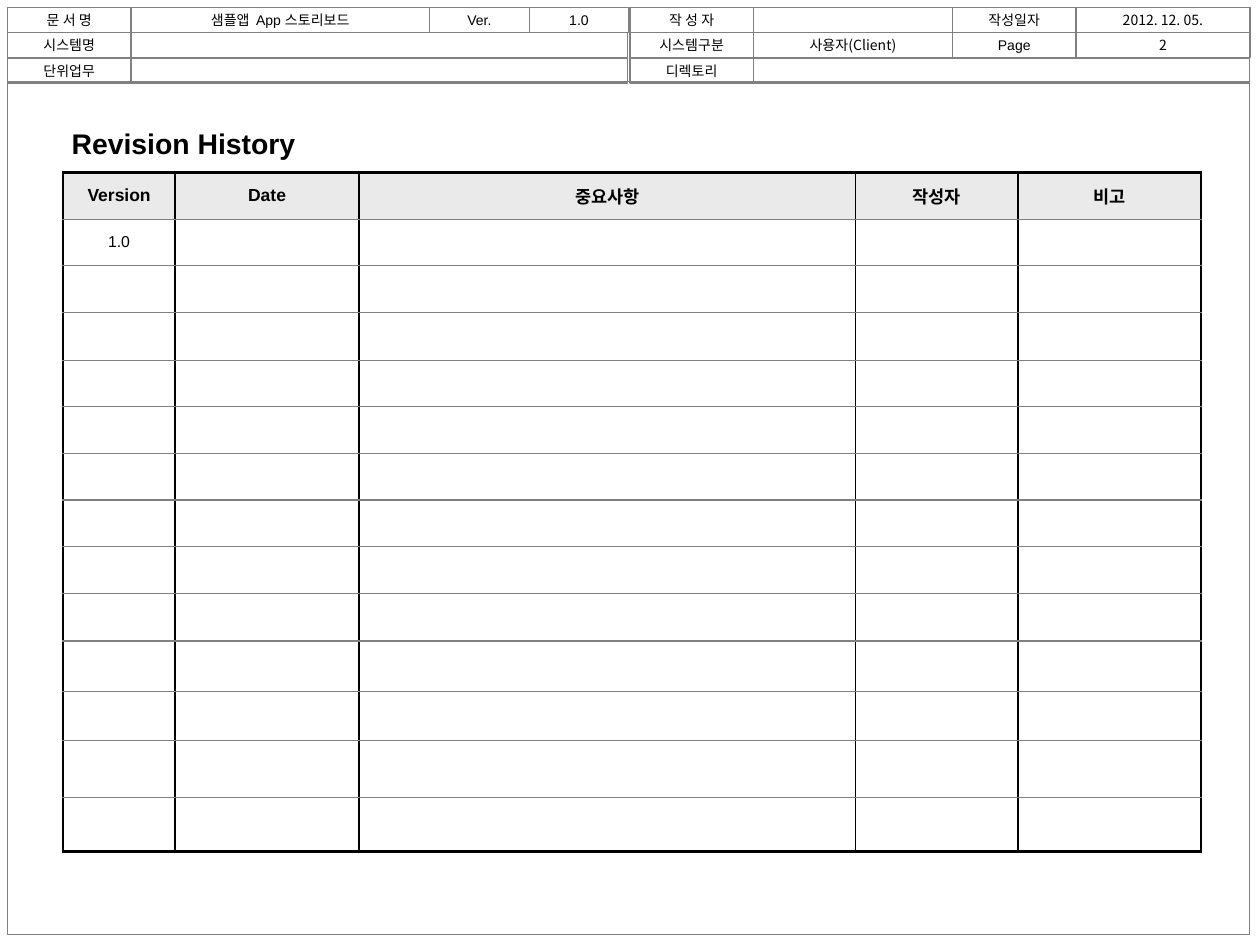
from lxml.etree import SubElement
from pptx import Presentation
from pptx.dml.color import RGBColor
from pptx.enum.shapes import MSO_SHAPE as Shape
from pptx.enum.text import MSO_ANCHOR as Anchor, PP_ALIGN as Align
from pptx.oxml.ns import qn
from pptx.util import Inches, Pt

BLACK = RGBColor(0x00, 0x00, 0x00)
GRAY = RGBColor(0x80, 0x80, 0x80)
HEADER_FILL = RGBColor(0xEA, 0xEA, 0xEA)
LATIN, KOREAN = "Arial", "Noto Sans CJK KR"

LEFT_INFO = [
    [("문 서 명", 0.98), ("샘플앱  App 스토리보드", 2.37), ("Ver.", 0.79), ("1.0", 0.79)],
    [("시스템명", 0.98), ("", 3.94)],
    [("단위업무", 0.98), ("", 3.94)],
]
RIGHT_INFO = [
    [("작 성 자", 0.98), ("", 1.58), ("작성일자", 0.98), ("2012. 12. 05.", 1.38, KOREAN)],
    [("시스템구분", 0.98), ("사용자(Client)", 1.58, KOREAN), ("Page", 0.98), ("2", 1.38, KOREAN)],
    [("디렉토리", 0.98), ("", 3.94)],
]
HEADINGS = ["Version", "Date", "중요사항", "작성자", "비고"]
COL_WIDTHS = [0.89, 1.46, 3.94, 1.29, 1.45]
ROW_HEIGHTS = [0.37] * 3 + [0.38] + [0.37] * 5 + [0.38, 0.4, 0.39, 0.45, 0.43]


def style_paragraph(p, size, name=LATIN, bold=False, align=Align.CENTER):
    """Set the alignment and font of a paragraph."""
    p.alignment = align
    p.font.size = Pt(size)
    p.font.name = name
    p.font.bold = bold
    p.font.color.rgb = BLACK


def add_box(slide, x, y, w, h, text="", name=LATIN):
    """Add an unfilled gray-outlined box with centred text."""
    s = slide.shapes.add_shape(Shape.RECTANGLE, Inches(x), Inches(y), Inches(w), Inches(h))
    s.shadow.inherit = False
    s.fill.background()
    s.line.color.rgb = GRAY
    s.line.width = Pt(0.75)
    if text:
        tf = s.text_frame
        tf.vertical_anchor = Anchor.MIDDLE
        tf.margin_top = tf.margin_bottom = 0
        tf.text = text
        style_paragraph(tf.paragraphs[0], 8, name)


def add_info_block(slide, x, y, row_height, rows):
    """Lay out rows of document details from the given corner."""
    for i, row in enumerate(rows):
        left = x
        for text, width, *name in row:
            add_box(slide, left, y + i * row_height, width, row_height, text, *name)
            left += width


def add_title(slide, x, y, w, h):
    """Add the slide heading."""
    tf = slide.shapes.add_textbox(Inches(x), Inches(y), Inches(w), Inches(h)).text_frame
    tf.word_wrap = True
    tf.text = "Revision History"
    style_paragraph(tf.paragraphs[0], 16.2, bold=True, align=Align.LEFT)


def set_border(cell, side, color, width):
    """Draw one side of a table cell."""
    ln = SubElement(cell._tc.get_or_add_tcPr(), qn(f"a:ln{side}"), w=str(Pt(width)))
    SubElement(SubElement(ln, qn("a:solidFill")), qn("a:srgbClr"), val=str(color))


def add_history_table(slide, x, y, w, h):
    """Add the revision table with a heavy outer frame."""
    last_row, last_col = len(ROW_HEIGHTS) - 1, len(COL_WIDTHS) - 1
    table = slide.shapes.add_table(last_row + 1, last_col + 1, Inches(x), Inches(y),
                                   Inches(w), Inches(h)).table
    table.first_row = table.horz_banding = False
    for column, width in zip(table.columns, COL_WIDTHS):
        column.width = Inches(width)
    for r, height in enumerate(ROW_HEIGHTS):
        table.rows[r].height = Inches(height)
        for c, heading in enumerate(HEADINGS):
            cell = table.cell(r, c)
            set_border(cell, "L", BLACK, 1.5 if c == 0 else 1)
            set_border(cell, "R", BLACK, 1.5 if c == last_col else 1)
            set_border(cell, "T", *((BLACK, 1.5) if r == 0 else (GRAY, 0.75)))
            set_border(cell, "B", *((BLACK, 1.5) if r == last_row else (GRAY, 0.75)))
            cell.vertical_anchor = Anchor.MIDDLE
            p = cell.text_frame.paragraphs[0]
            if r == 0:
                cell.fill.solid()
                cell.fill.fore_color.rgb = HEADER_FILL
                p.text = heading
            else:
                cell.fill.background()
                p.text = "1.0" if (r, c) == (1, 0) else ""
            style_paragraph(p, 10 if r == 0 else 9, bold=r == 0)
            if not p.text:
                SubElement(p._p, qn("a:endParaRPr"), sz="900")


def main():
    """Build and save the revision history slide."""
    prs = Presentation()
    prs.slide_width, prs.slide_height = Inches(10), Inches(7.5)
    slide = prs.slides.add_slide(prs.slide_layouts[6])
    add_box(slide, 0.06, 0.65, 9.86, 6.77)
    add_info_block(slide, 0.06, 0.06, 0.2, LEFT_INFO)
    add_info_block(slide, 5, 0.06, 0.2, RIGHT_INFO)
    add_title(slide, 0.47, 0.95, 3.2, 0.34)
    add_history_table(slide, 0.5, 1.37, 9.03, 5.39)
    prs.save("out.pptx")


if __name__ == "__main__":
    main()
